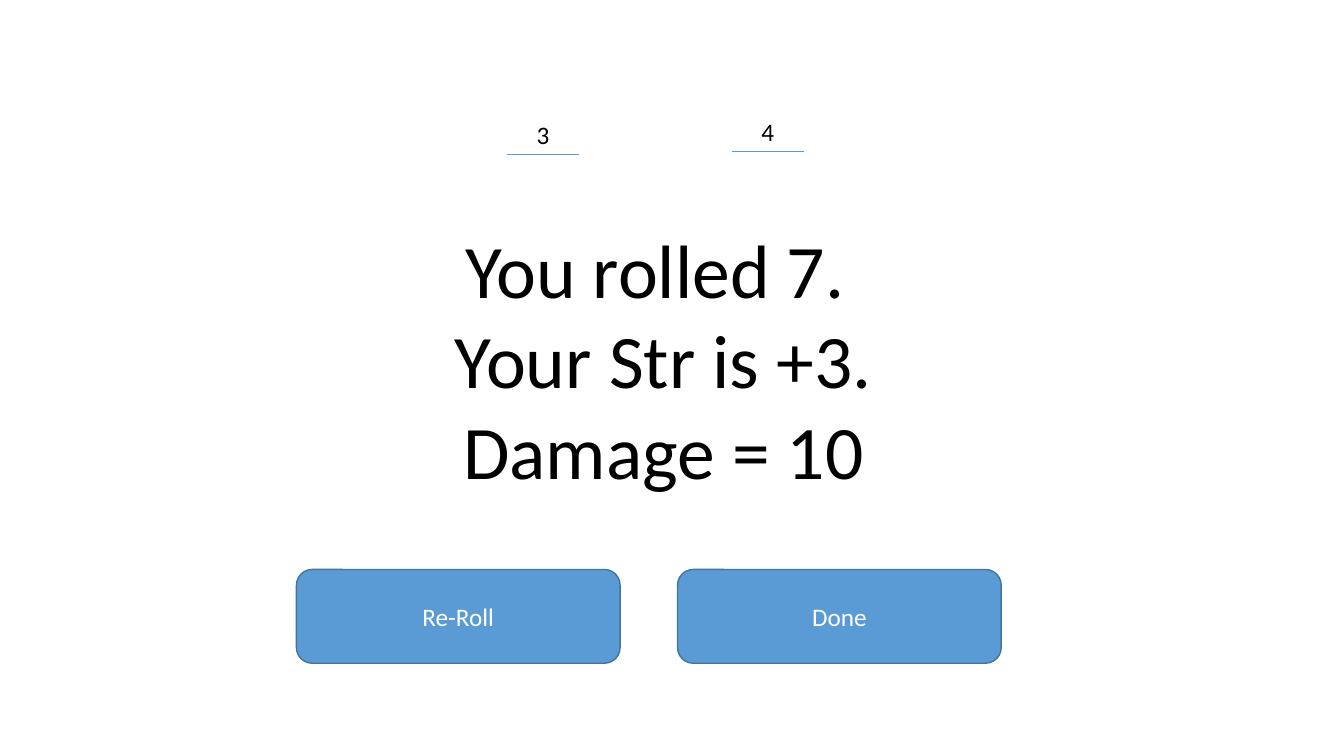
from dataclasses import dataclass

from lxml.etree import SubElement
from pptx import Presentation
from pptx.dml.color import RGBColor
from pptx.enum.shapes import MSO_CONNECTOR, MSO_SHAPE
from pptx.enum.text import MSO_ANCHOR, PP_ALIGN
from pptx.oxml.ns import qn
from pptx.slide import Slide
from pptx.text.text import TextFrame
from pptx.util import Emu, Pt

EMU_PER_PX = 9144  # 100 px to the inch
FONT = "Calibri"
COLORS = {
    "blue": "5B9BD5",
    "dark_blue": "43739E",
    "black": "000000",
    "white": "FFFFFF",
}


@dataclass(frozen=True)
class Die:
    value: str
    left: int
    top: int


@dataclass(frozen=True)
class Button:
    label: str
    left: int


DICE = [Die("3", 509, 113), Die("4", 732, 110)]
DIE_WIDTH, DIE_HEIGHT = 59, 40
LINE_OVERHANG = 6

# Each paragraph is a list of lines.
RESULT = [["You rolled 7. ", "Your Str is +3."], ["Damage = 10"]]

BUTTONS = [Button("Re-Roll", 294), Button("Done", 672)]
BUTTON_TOP, BUTTON_WIDTH, BUTTON_HEIGHT = 565, 321, 93


def px(length: int) -> Emu:
    return Emu(length * EMU_PER_PX)


def color(name: str) -> RGBColor:
    return RGBColor.from_string(COLORS[name])


def write_text(frame: TextFrame, paragraphs: list[list[str]], *,
               size: int = 18, text_color: str = "black",
               anchor: MSO_ANCHOR = MSO_ANCHOR.TOP) -> None:
    frame.word_wrap = True
    frame.vertical_anchor = anchor
    for index, lines in enumerate(paragraphs):
        paragraph = frame.add_paragraph() if index else frame.paragraphs[0]
        paragraph.alignment = PP_ALIGN.CENTER
        paragraph.font.size = Pt(size)
        for line_index, line in enumerate(lines):
            if line_index:
                paragraph.add_line_break()
            run = paragraph.add_run()
            run.text = line
            run.font.name = FONT
            run.font.size = Pt(size)
            run.font.color.rgb = color(text_color)


def add_text(slide: Slide, paragraphs: list[list[str]], left: int, top: int,
             width: int, height: int, *, size: int = 18) -> None:
    box = slide.shapes.add_textbox(px(left), px(top), px(width), px(height))
    write_text(box.text_frame, paragraphs, size=size)


def add_die(slide: Slide, die: Die) -> None:
    """Draw the rolled value above its underline."""
    line_y = px(die.top + DIE_HEIGHT)
    underline = slide.shapes.add_connector(
        MSO_CONNECTOR.STRAIGHT,
        px(die.left - LINE_OVERHANG), line_y,
        px(die.left + DIE_WIDTH + LINE_OVERHANG), line_y)
    underline.line.color.rgb = color("blue")
    underline.line.width = Pt(0.5)
    SubElement(underline._element.spPr, qn("a:effectLst"))
    add_text(slide, [[die.value]], die.left, die.top, DIE_WIDTH, DIE_HEIGHT)


def add_button(slide: Slide, button: Button) -> None:
    shape = slide.shapes.add_shape(
        MSO_SHAPE.ROUNDED_RECTANGLE, px(button.left), px(BUTTON_TOP),
        px(BUTTON_WIDTH), px(BUTTON_HEIGHT))
    shape.shadow.inherit = False
    shape.fill.solid()
    shape.fill.fore_color.rgb = color("blue")
    shape.line.color.rgb = color("dark_blue")
    shape.line.width = Pt(1)
    write_text(shape.text_frame, [[button.label]], text_color="white",
               anchor=MSO_ANCHOR.MIDDLE)


def main() -> None:
    presentation = Presentation()
    presentation.slide_width = px(1333)
    presentation.slide_height = px(750)
    slide = presentation.slides.add_slide(presentation.slide_layouts[6])
    for die in DICE:
        add_die(slide, die)
    add_text(slide, RESULT, 382, 216, 552, 283, size=54)
    for button in BUTTONS:
        add_button(slide, button)
    presentation.save("out.pptx")


if __name__ == "__main__":
    main()
